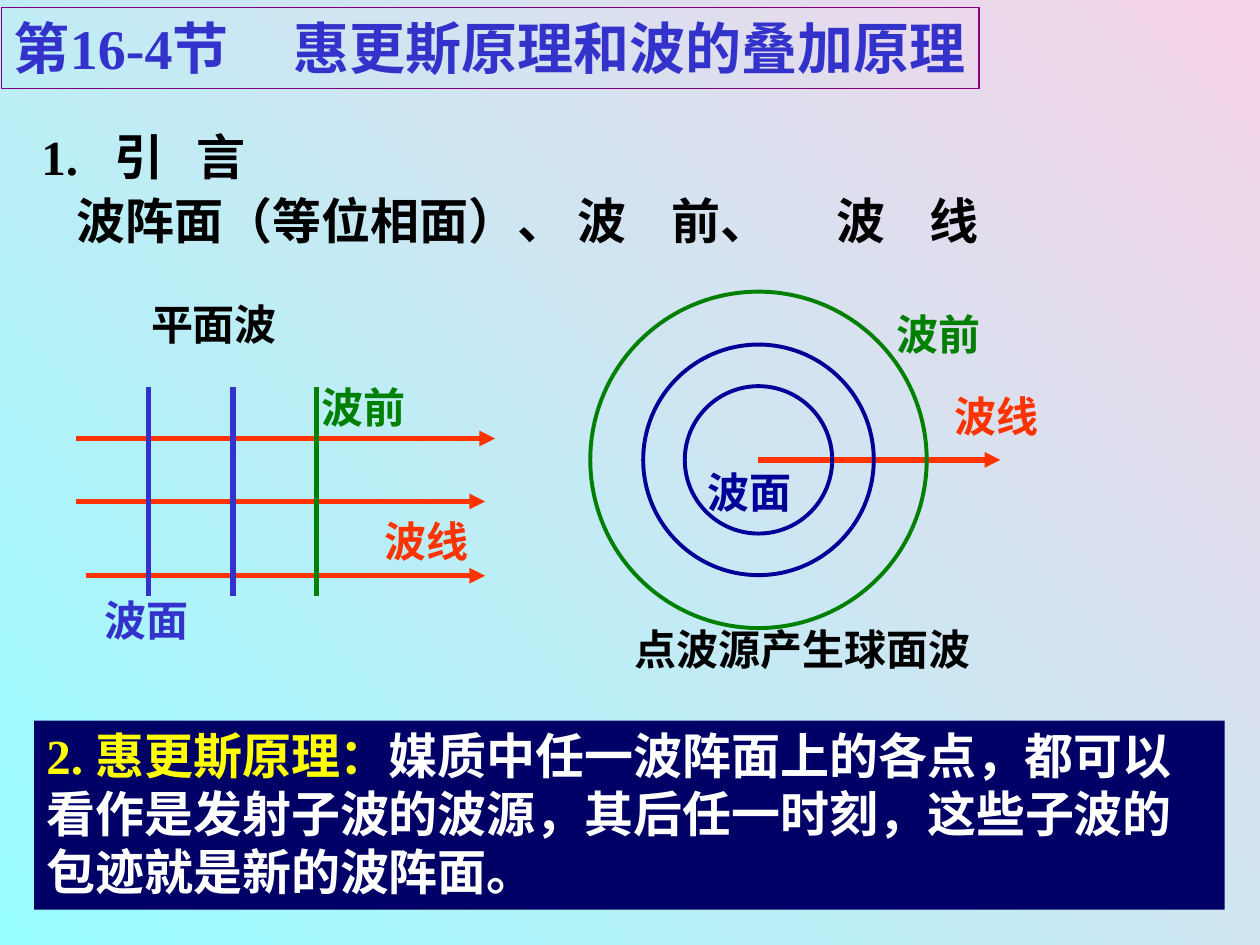
from pptx import Presentation
from pptx.dml.color import RGBColor
from pptx.enum.shapes import MSO_CONNECTOR, MSO_SHAPE
from pptx.enum.text import MSO_ANCHOR, MSO_AUTO_SIZE, PP_ALIGN
from pptx.oxml.ns import qn
from pptx.util import Pt
from lxml.etree import SubElement

PX = 9144
RED, GREEN, BLUE, NAVY, BLACK = "FF3300", "008000", "3333CC", "000099", "000000"
rgb = RGBColor.from_string


def write(shape, size, parts, wrap=True, tabs=()):
    frame = shape.text_frame
    look = {"word_wrap": wrap, "auto_size": MSO_AUTO_SIZE.NONE,
            "vertical_anchor": MSO_ANCHOR.TOP}
    for key, value in look.items():
        setattr(frame, key, value)
    para = frame.paragraphs[0]
    form = {"alignment": PP_ALIGN.LEFT, "line_spacing": Pt(int(size * 1.21)),
            "space_before": Pt(0)}
    for key, value in form.items():
        setattr(para, key, value)
    if tabs:
        stops = SubElement(para._p.get_or_add_pPr(), qn("a:tabLst"))
        for stop in tabs:
            SubElement(stops, qn("a:tab"), pos=str(stop * PX), algn="l")
    for text, face, color in parts:
        run = para.add_run()
        run.text = text
        style = {"name": face, "size": Pt(size), "bold": True}
        for key, value in style.items():
            setattr(run.font, key, value)
        run.font.color.rgb = rgb(color)
        SubElement(run._r.get_or_add_rPr(), qn("a:ea"), typeface="Noto Sans CJK SC")


def draw(x1, y1, x2, y2, color, arrow):
    line = shapes.add_connector(MSO_CONNECTOR.STRAIGHT, *(n * PX for n in (x1, y1, x2, y2)))
    line.line.color.rgb = rgb(color)
    line.line.width = Pt(3)
    if arrow:
        SubElement(line.line._get_or_add_ln(), qn("a:tailEnd"), type="triangle")
    SubElement(line._element.spPr, qn("a:effectLst"))


deck = Presentation()
deck.slide_width, deck.slide_height = 1000 * PX, 750 * PX
slide = deck.slides.add_slide(deck.slide_layouts[5])
shapes = slide.shapes

back = slide.background.fill
back.gradient()
back.gradient_angle = 45
for stop, color, place in zip(back.gradient_stops, ("98FEFF", "F7D3E8"), (0, 1)):
    stop.color.rgb = rgb(color)
    stop.position = place

title = shapes.title
spot = {"left": 1, "top": 6, "width": 776, "height": 64}
for key, value in spot.items():
    setattr(title, key, value * PX)
title.line.color.rgb = rgb("800080")
title.line.width = Pt(0.75)
title.text_frame.margin_right = 0
write(title, 32, [("第16-4节\t惠更斯原理和波的叠加原理", "Times New Roman", BLUE)],
      False, [222])

panel = shapes.add_shape(MSO_SHAPE.RECTANGLE, 27 * PX, 572 * PX, 945 * PX, 150 * PX)
panel.shadow.inherit = False
panel.fill.solid()
panel.fill.fore_color.rgb = rgb("000066")
panel.line.fill.background()
write(panel, 28, [
    ("2. 惠更斯原理：", "Times New Roman", "FFFF00"),
    ("媒质中任一波阵面上的各点，都可以看作是发射子波的波源，其后任一时刻，这些子波的包迹就是新的波阵面。",
     "Noto Sans CJK SC", "FFFFFF")])

for y in (348, 398, 457):
    draw(68 if y == 457 else 60, y, 393 if y == 348 else 385, y, RED, True)
for x, color in ((118, BLUE), (185, BLUE), (251, GREEN)):
    draw(x, 307, x, 473, color, False)
draw(602, 365, 794, 365, RED, True)

for size, color in ((117, NAVY), (183, NAVY), (267, GREEN)):
    ring = shapes.add_shape(MSO_SHAPE.OVAL, round((602 - size / 2) * PX),
                            round((365 - size / 2) * PX), size * PX, size * PX)
    ring.shadow.inherit = False
    ring.fill.background()
    ring.line.color.rgb = rgb(color)
    ring.line.width = Pt(2.25)

labels = [
    (23, 96, 182, 57, 28, "1.\t引\t言", BLACK, [58, 123]),
    (51, 147, 882, 57, 28, "波阵面（等位相面）、 波\t前、\t波\t线", BLACK, [472, 603, 677]),
    (110, 232, 208, 50, 24, "平面波", BLACK, []),
    (245, 298, 173, 50, 24, "波前", GREEN, []),
    (295, 404, 183, 50, 24, "波线", RED, []),
    (73, 467, 112, 50, 24, "波面", BLUE, []),
    (702, 240, 142, 50, 24, "波前", GREEN, []),
    (748, 305, 110, 50, 24, "波线", RED, []),
    (552, 365, 125, 50, 24, "波面", NAVY, []),
    (494, 490, 342, 50, 24, "点波源产生球面波", BLACK, []),
]
for x, y, wide, high, size, text, color, tabs in labels:
    box = shapes.add_textbox(x * PX, y * PX, wide * PX, high * PX)
    write(box, size, [(text, "Times New Roman", color)], y != 96, tabs)

deck.save("out.pptx")
